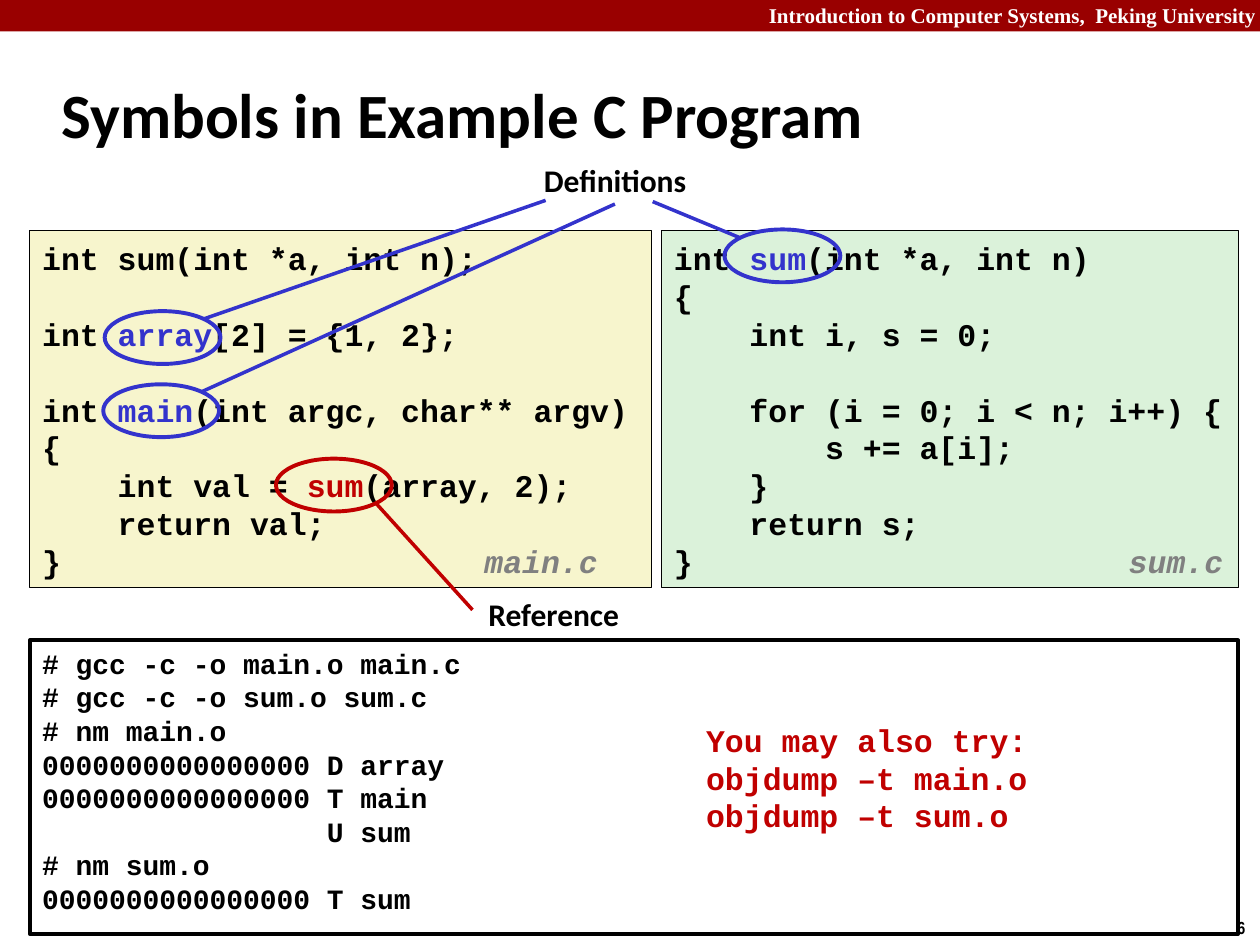
import pptx
import pptx.dml.color
import pptx.enum.shapes
import pptx.enum.text
import pptx.oxml.ns
import pptx.util
from lxml import etree

Pt = pptx.util.Pt
SHAPES = pptx.enum.shapes.MSO_SHAPE
ALIGN = pptx.enum.text.PP_ALIGN
ANCHOR = pptx.enum.text.MSO_ANCHOR

BLACK, WHITE, GRAY = "000000", "FFFFFF", "808080"
BANNER, DEFINITION, REFERENCE = "990000", "3333CC", "C00000"
CODE_FONT = "Courier New"

# A line is plain text, or a list of (text, colour) parts
MAIN_LINES = [
    "int sum(int *a, int n);",
    "",
    [("int ", BLACK), ("array", DEFINITION), ("[2] = {1, 2};", BLACK)],
    "",
    [("int ", BLACK), ("main", DEFINITION), ("(int argc, char** argv)", BLACK)],
    "{",
    [("    int val = ", BLACK), ("sum", REFERENCE), ("(array, 2);", BLACK)],
    "    return val;",
    "}",
]
SUM_LINES = [
    [("int ", BLACK), ("sum", DEFINITION), ("(int *a, int n)", BLACK)],
    "{",
    "    int i, s = 0;",
    "",
    "    for (i = 0; i < n; i++) {",
    "        s += a[i];",
    "    }",
    "    return s;",
    "}",
]
SHELL_LINES = [
    "# gcc -c -o main.o main.c",
    "# gcc -c -o sum.o sum.c",
    "# nm main.o",
    "0000000000000000 D array",
    "0000000000000000 T main",
    "                 U sum",
    "# nm sum.o",
    "0000000000000000 T sum",
]
HINT_LINES = ["You may also try:", "objdump –t main.o", "objdump –t sum.o"]


def color(value):
    return pptx.dml.color.RGBColor.from_string(value)


def add_shape(slide, kind, box, fill=None, line=None, width=1):
    shape = slide.shapes.add_shape(kind, *map(Pt, box))
    shape.shadow.inherit = False
    if fill:
        shape.fill.solid()
        shape.fill.fore_color.rgb = color(fill)
    else:
        shape.fill.background()
    if line:
        shape.line.color.rgb = color(line)
        shape.line.width = Pt(width)
    else:
        shape.line.fill.background()
    return shape


def write_lines(shape, lines, size, font=CODE_FONT, text_color=BLACK, align=ALIGN.LEFT,
                anchor=ANCHOR.TOP, wrap=True, italic=False, spacing=None):
    frame = shape.text_frame
    frame.word_wrap = wrap
    frame.vertical_anchor = anchor
    for index, line in enumerate(lines):
        paragraph = frame.paragraphs[0] if index == 0 else frame.add_paragraph()
        paragraph.alignment = align
        if spacing:
            paragraph.line_spacing = spacing
        paragraph.font.name = font
        paragraph.font.size = Pt(size)
        paragraph.font.bold = True
        paragraph.font.italic = italic
        paragraph.font.color.rgb = color(text_color)
        if isinstance(line, str):
            if line:
                paragraph.add_run().text = line
            continue
        for text, part_color in line:
            run = paragraph.add_run()
            run.text = text
            run.font.color.rgb = color(part_color)


def add_label(slide, box, text, size, **style):
    write_lines(slide.shapes.add_textbox(*map(Pt, box)), [text], size, **style)


def add_pointer(slide, start, end, line_color):
    connector = slide.shapes.add_connector(
        pptx.enum.shapes.MSO_CONNECTOR.STRAIGHT, *map(Pt, start + end))
    connector.line.color.rgb = color(line_color)
    connector.line.width = Pt(2)
    properties = connector._element.spPr
    etree.SubElement(properties, pptx.oxml.ns.qn("a:effectLst"))


def add_banner(slide, box):
    left, top, width, height = box
    add_shape(slide, SHAPES.RECTANGLE, box, fill=BANNER)
    add_label(slide, (left + width - 288, top - 2, 293, height + 4),
              "Introduction to Computer Systems,  Peking University", 12,
              font="Times New Roman", text_color=WHITE, align=ALIGN.RIGHT)


def add_code_panel(slide, box, fill, lines, file_name, name_offset, circles, wrap=True):
    left, top, _, _ = box
    panel = add_shape(slide, SHAPES.RECTANGLE, box, fill, BLACK, 0.25)
    panel.text_frame.margin_top = Pt(5)
    write_lines(panel, lines, 18, wrap=wrap, spacing=Pt(21.6))
    add_label(slide, (left + name_offset, top + 174.5, 84, 28), file_name, 18,
              text_color=GRAY, italic=True, wrap=False)
    # Rings around the symbols
    for x, y, ring_color in circles:
        add_shape(slide, SHAPES.OVAL, (left + x, top + y, 66.2, 30.2), line=ring_color, width=2.25)


def add_callout(slide, box, text, line_color, pointers):
    add_label(slide, box, text, 18, font="Calibri", align=ALIGN.CENTER, wrap=False)
    for start, end in pointers:
        add_pointer(slide, start, end, line_color)


def add_terminal(slide, box):
    left, top, _, _ = box
    terminal = add_shape(slide, SHAPES.RECTANGLE, box, WHITE, BLACK, 2)
    write_lines(terminal, SHELL_LINES, 16, spacing=Pt(19.2))
    hint = add_shape(slide, SHAPES.RECTANGLE, (left + 379.4, top + 42.5, 291.6, 72.7),
                     WHITE, WHITE, 0.75)
    write_lines(hint, HINT_LINES, 18, text_color=REFERENCE, spacing=Pt(21.6))


def main():
    presentation = pptx.Presentation()
    presentation.slide_width, presentation.slide_height = Pt(720), Pt(540)
    slide = presentation.slides.add_slide(presentation.slide_layouts[6])

    # Banner, page number and title
    add_banner(slide, (0, 0, 720, 18))
    add_label(slide, (695.5, 520.5, 24.5, 19.5), "16", 10, font="Arial Narrow", wrap=False)
    add_label(slide, (28, 34.5, 598, 60), "Symbols in Example C Program", 36,
              font="Calibri", anchor=ANCHOR.MIDDLE)

    # Source files
    add_code_panel(slide, (17, 131.8, 355, 203.8), "F7F5CD", MAIN_LINES, "main.c", 252.7,
                   [(42.8, 46, DEFINITION), (42, 87.8, DEFINITION), (140.7, 130.3, REFERENCE)])
    add_code_panel(slide, (378, 131.8, 329.5, 203.8), "DBF2DA", SUM_LINES, "sum.c", 259.9,
                   [(36, -0.7, DEFINITION)], wrap=False)

    # Callouts
    add_callout(slide, (303, 88.6, 97, 29), "Definitions", DEFINITION,
                [((116.6, 182.2), (311.8, 114.5)),
                 ((115.2, 223.9), (351.4, 116.6)),
                 ((423.4, 136.1), (373, 115.2))])
    add_callout(slide, (270.7, 336.2, 91.4, 29), "Reference", REFERENCE,
                [((214.6, 287.3), (270, 348.5))])

    # Terminal
    add_terminal(slide, (17, 365.8, 690.5, 168))

    presentation.save("out.pptx")


if __name__ == "__main__":
    main()
